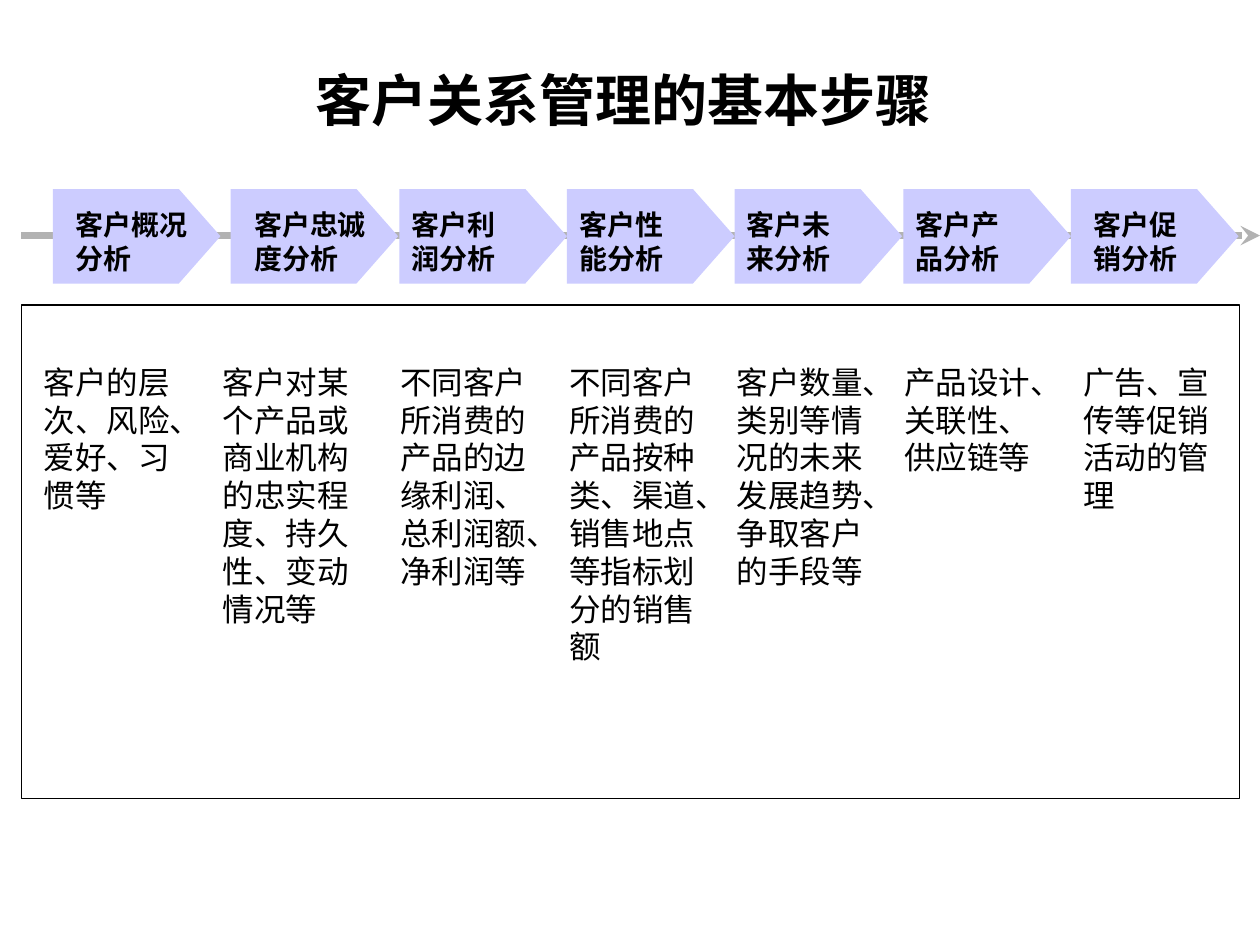
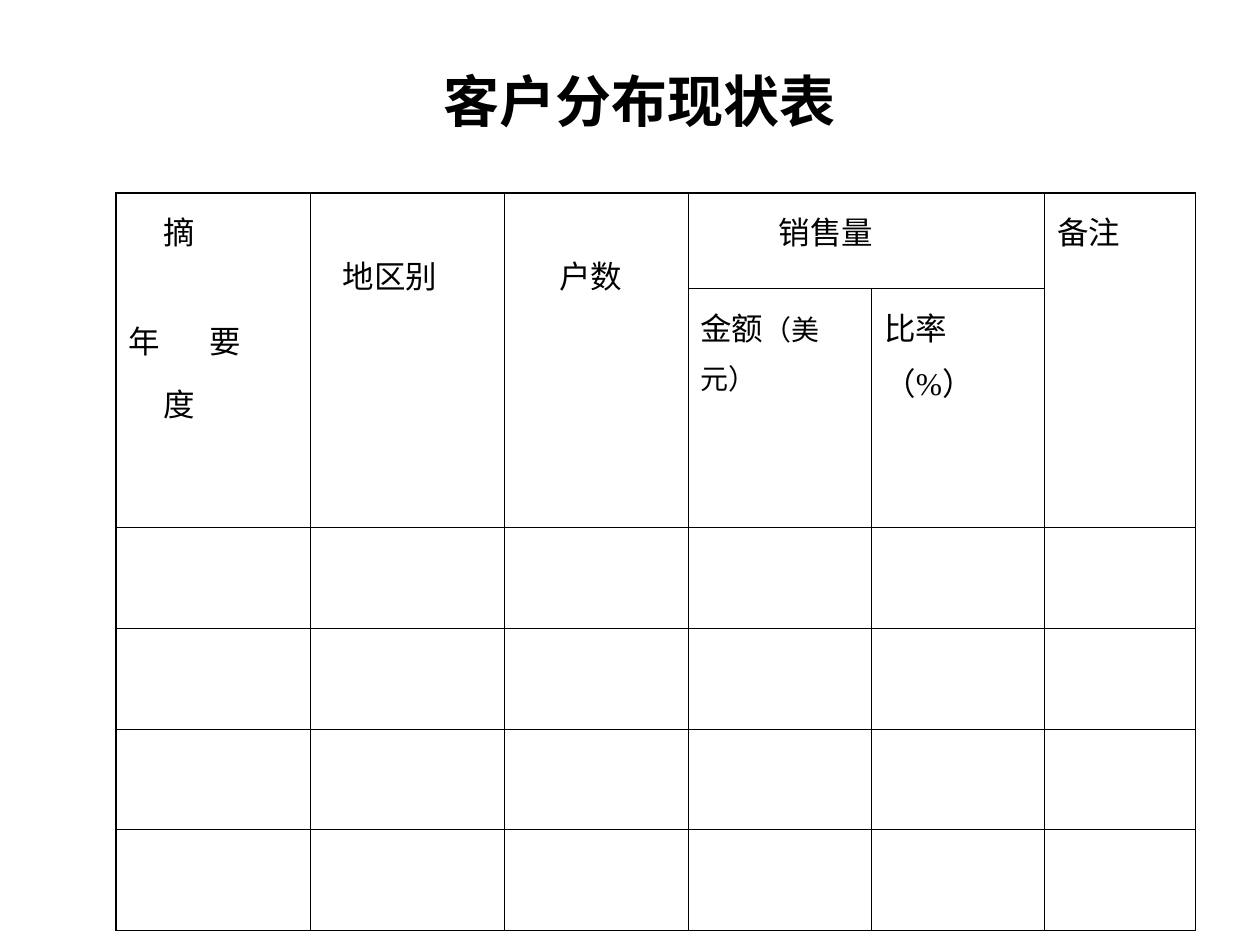
from dataclasses import dataclass

from pptx import Presentation
from pptx import util as u
from pptx.dml.color import RGBColor
from pptx.enum import shapes, text
from pptx.oxml import parse_xml
from pptx.oxml.ns import nsdecls


@dataclass(frozen=True)
class Theme:
    font: str = "Times New Roman"
    ink: str = "000000"
    arrow: str = "CCCCFF"
    axis: str = "B2B2B2"
    title_size: float = 32
    body_size: float = 18
    label_size: float = 16
    frame_width: float = 0.75
    axis_width: float = 3.75
    outer_border: float = 1.08
    inner_border: float = 0.45
    cell_spacing: float = 1.2


THEME = Theme()

# Step name, label left, label width, arrow left, note left, note width, note
STEPS = [
    ("客户概况分析", 0.5, 1.14, 0.42, 0.25, 1.25, "客户的层次、风险、爱好、习惯等"),
    ("客户忠诚度分析", 1.92, 1.24, 1.83, 1.67, 1.25,
     "客户对某个产品或商业机构的忠实程度、持久性、变动情况等"),
    ("客户利润分析", 3.17, 1.05, 3.17, 3.08, 1.33,
     "不同客户所消费的产品的边缘利润、总利润额、净利润等"),
    ("客户性能分析", 4.5, 1.05, 4.5, 4.42, 1.33,
     "不同客户所消费的产品按种类、渠道、销售地点等指标划分的销售额"),
    ("客户未来分析", 5.83, 1.05, 5.83, 5.75, 1.25,
     "客户数量、类别等情况的未来发展趋势、争取客户的手段等"),
    ("客户产品分析", 7.17, 1.05, 7.17, 7.08, 1.25, "产品设计、关联性、供应链等"),
    ("客户促销分析", 8.58, 1.05, 8.5, 8.5, 1.25, "广告、宣传等促销活动的管理"),
]

COLUMN_WIDTHS = [1.54, 1.54, 1.46, 1.46, 1.37, 1.2]
ROW_HEIGHTS = [0.76, 1.67] + [0.8] * 4


def color(code):
    return RGBColor.from_string(code)


def add_run(para, words, size, bold=False):
    span = para.add_run()
    span.text = words
    span.font.name = THEME.font
    span.font.size = u.Pt(size)
    span.font.bold = bold
    span.font.color.rgb = color(THEME.ink)


def add_titled_slide(deck, words, left, top, width, height):
    page = deck.slides.add_slide(deck.slide_layouts[5])
    title = page.shapes.title
    title.left, title.top = u.Inches(left), u.Inches(top)
    title.width, title.height = u.Inches(width), u.Inches(height)
    frame = title.text_frame
    frame.auto_size = text.MSO_AUTO_SIZE.NONE
    frame.vertical_anchor = text.MSO_ANCHOR.MIDDLE
    para = frame.paragraphs[0]
    para.alignment = text.PP_ALIGN.CENTER
    add_run(para, words, THEME.title_size, bold=True)
    return page


def add_text(page, words, left, top, width, height, size, bold=False):
    box = page.shapes.add_textbox(u.Inches(left), u.Inches(top),
                                  u.Inches(width), u.Inches(height))
    box.text_frame.word_wrap = True
    box.text_frame.auto_size = text.MSO_AUTO_SIZE.SHAPE_TO_FIT_TEXT
    add_run(box.text_frame.paragraphs[0], words, size, bold)


def add_axis(page, left, right, y):
    axis = page.shapes.add_connector(shapes.MSO_CONNECTOR.STRAIGHT, u.Inches(left),
                                     u.Inches(y), u.Inches(right), u.Inches(y))
    axis.line.color.rgb = color(THEME.axis)
    axis.line.width = u.Pt(THEME.axis_width)
    axis.line._get_or_add_ln().append(
        parse_xml(f'<a:tailEnd {nsdecls("a")} type="stealth"/>'))
    axis._element.spPr.append(parse_xml(f'<a:effectLst {nsdecls("a")}/>'))


def add_step_arrow(page, left):
    arrow = page.shapes.add_shape(shapes.MSO_SHAPE.PENTAGON, u.Inches(left),
                                  u.Inches(1.5), u.Inches(1.33), u.Inches(0.75))
    arrow.adjustments[0] = 0.44
    arrow.shadow.inherit = False
    arrow.fill.solid()
    arrow.fill.fore_color.rgb = color(THEME.arrow)
    arrow.line.fill.background()


def add_frame(page, left, top, width, height):
    frame = page.shapes.add_shape(shapes.MSO_SHAPE.RECTANGLE, u.Inches(left),
                                  u.Inches(top), u.Inches(width), u.Inches(height))
    frame.shadow.inherit = False
    frame.fill.background()
    frame.line.color.rgb = color(THEME.ink)
    frame.line.width = u.Pt(THEME.frame_width)


def set_borders(cell, outer_sides):
    props = cell._tc.get_or_add_tcPr()
    for side in "LRTB":
        points = THEME.outer_border if side in outer_sides else THEME.inner_border
        props.append(parse_xml(
            f'<a:ln{side} {nsdecls("a")} w="{u.Pt(points)}"><a:solidFill>'
            f'<a:srgbClr val="{THEME.ink}"/></a:solidFill></a:ln{side}>'))


def add_grid(page, left, top):
    rows, columns = len(ROW_HEIGHTS), len(COLUMN_WIDTHS)
    holder = page.shapes.add_table(rows, columns, u.Inches(left), u.Inches(top),
                                   u.Inches(sum(COLUMN_WIDTHS)),
                                   u.Inches(sum(ROW_HEIGHTS)))
    grid = holder.table
    grid.first_row = grid.horz_banding = False
    for column, width in zip(grid.columns, COLUMN_WIDTHS):
        column.width = u.Inches(width)
    for row, height in zip(grid.rows, ROW_HEIGHTS):
        row.height = u.Inches(height)
    for r in range(rows):
        for c in range(columns):
            edges = {"L": c == 0, "R": c == columns - 1,
                     "T": r == 0, "B": r == rows - 1}
            cell = grid.cell(r, c)
            set_borders(cell, [side for side, outer in edges.items() if outer])
            cell.fill.background()
    return grid


def write_line(para, words, indent=0, before=0, size=THEME.body_size):
    para.line_spacing = THEME.cell_spacing
    if before:
        para.space_before = u.Pt(before)
    if indent:
        para._p.get_or_add_pPr().set("marL", str(u.Inches(indent)))
    add_run(para, words, size)


def write_header(cell, words, indent=0, top=0.05):
    cell.margin_top = u.Inches(top)
    para = cell.text_frame.paragraphs[0]
    write_line(para, words, indent)
    return para


def write_corner(cell):
    write_header(cell, "摘", indent=0.28)
    middle = cell.text_frame.add_paragraph()
    write_line(middle, "年\t要", before=31)
    middle._p.get_or_add_pPr().append(parse_xml(
        f'<a:tabLst {nsdecls("a")}><a:tab pos="{u.Inches(0.64)}" algn="l"/></a:tabLst>'))
    write_line(cell.text_frame.add_paragraph(), "度", indent=0.28, before=4.5)


def build_steps(deck):
    page = add_titled_slide(deck, "客户关系管理的基本步骤 ", 0.75, 0.33, 8.5, 0.92)
    add_axis(page, 0.17, 10, 1.87)
    for name, label_left, label_width, arrow_left, note_left, note_width, note in STEPS:
        add_step_arrow(page, arrow_left)
        add_text(page, name, label_left, 1.6, label_width, 0.64,
                 THEME.label_size, bold=True)
        add_text(page, note, note_left, 2.83, note_width, 1.9, THEME.body_size)
    add_frame(page, 0.17, 2.42, 9.67, 3.92)


def build_distribution(deck):
    page = add_titled_slide(deck, "客户分布现状表", 0.83, 0.42, 8.5, 0.75)
    grid = add_grid(page, 0.92, 1.53)
    # Headers spanning both header rows, and the sales group
    for column in (0, 1, 2, 5):
        grid.cell(0, column).merge(grid.cell(1, column))
    grid.cell(0, 3).merge(grid.cell(0, 4))
    # Header wording
    write_corner(grid.cell(0, 0))
    write_header(grid.cell(0, 1), "地区别", indent=0.16, top=0.4)
    write_header(grid.cell(0, 2), "户数", indent=0.34, top=0.4)
    write_header(grid.cell(0, 3), "销售量", indent=0.62)
    write_header(grid.cell(0, 5), "备注")
    amount = write_header(grid.cell(1, 3), "金额")
    add_run(amount, "（美元）", THEME.label_size)
    write_header(grid.cell(1, 4), "比率（%）")


def main():
    deck = Presentation()
    deck.slide_width, deck.slide_height = u.Inches(10), u.Inches(7.5)
    build_steps(deck)
    build_distribution(deck)
    deck.save("out.pptx")


if __name__ == "__main__":
    main()
